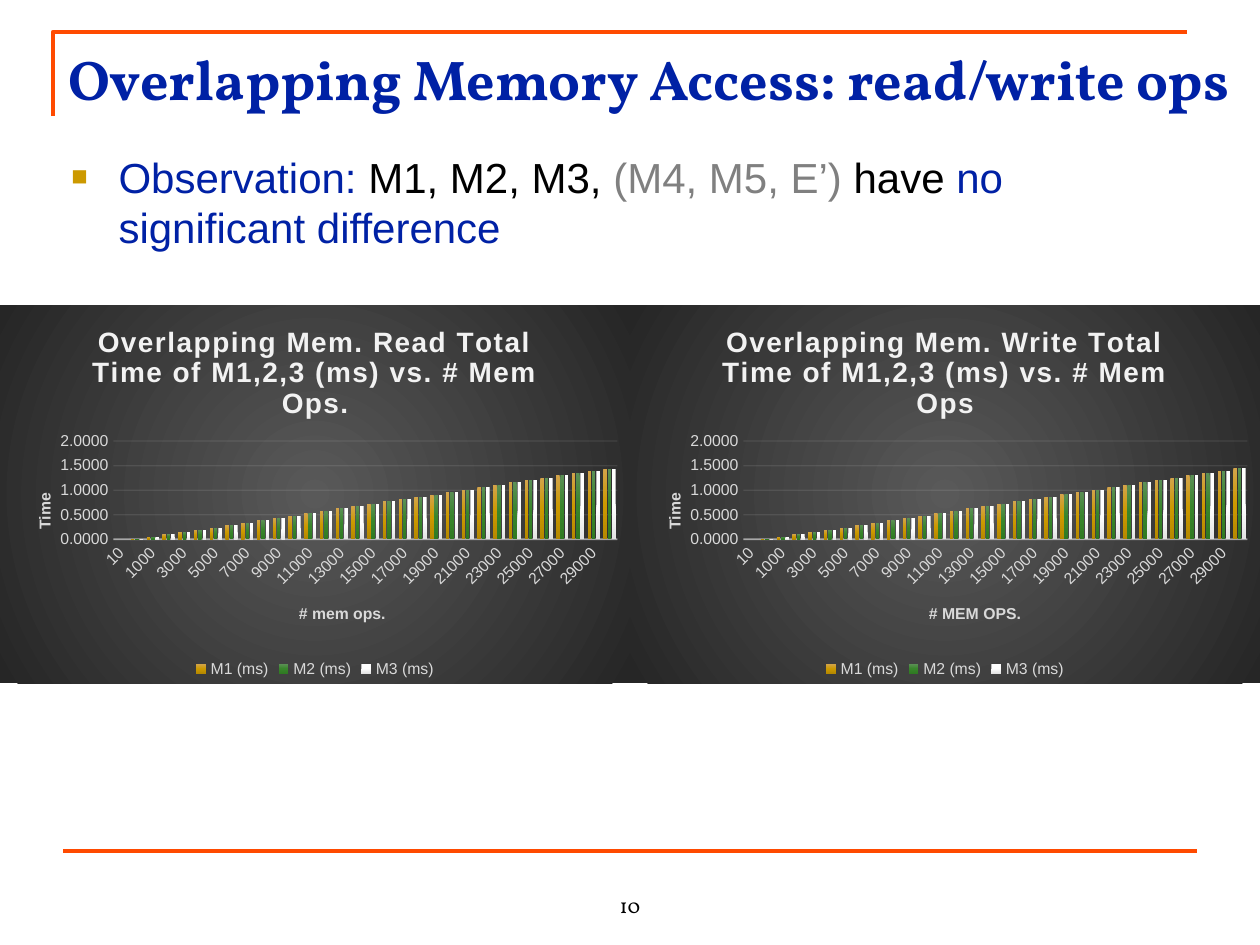
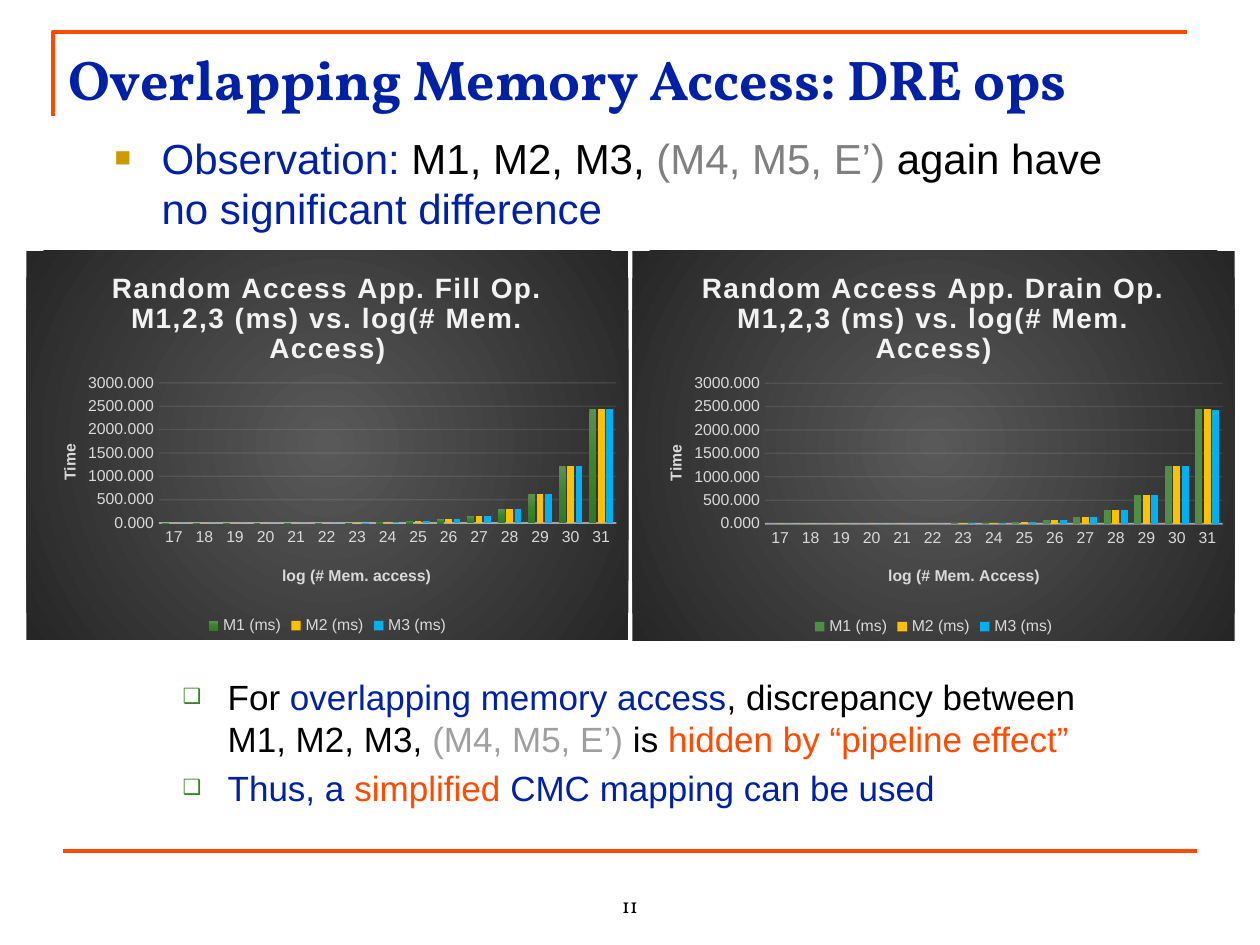
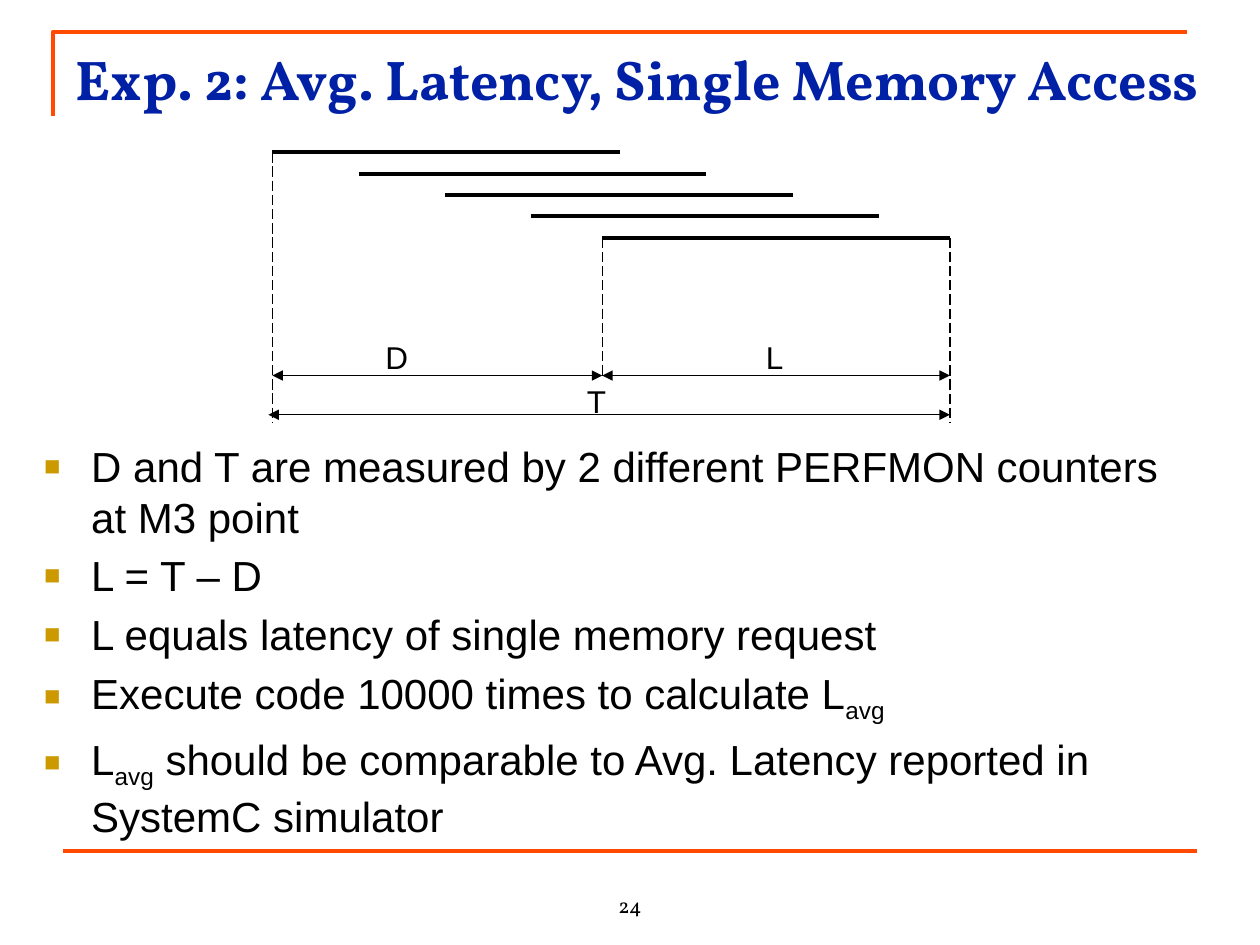
from dataclasses import dataclass
from typing import Optional

from lxml import etree
from pptx import Presentation, util as u
from pptx.chart import data as chart_data
from pptx.dml import color
from pptx.enum import chart as charts, dml, shapes, text
from pptx.oxml import ns


@dataclass(frozen=True)
class Theme:
    heading_font: str = "Vollkorn"
    body_font: str = "Arial"
    blue: str = "0021A5"
    orange: str = "FF4A00"
    black: str = "000000"
    gray: str = "808080"
    light_gray: str = "9F9F9F"
    chart_title: str = "F2F2F2"
    chart_text: str = "D9D9D9"
    chart_back: tuple = ("595959", "262626")
    gold_bars: tuple = ("D3A44B", "CC9900", "B58800")
    green_bars: tuple = ("5B9055", "38852B", "2F7A22")
    white_bars: tuple = ("FFFFFF", "FFFFFF", "E3E3E3")
    flat_green: tuple = ("508D47",)
    yellow: tuple = ("FFC000",)
    sky: tuple = ("00B0F0",)
    title_size: int = 32
    body_size: int = 24
    note_size: int = 20
    label_size: int = 18
    chart_title_size: int = 16
    number_size: int = 12
    chart_size: int = 9
    rule_width: float = 2.25
    thin_width: float = 0.75


THEME = Theme()


@dataclass(frozen=True)
class Box:
    """A place in centimetres."""
    left: float
    top: float
    width: float
    height: float

    def emu(self) -> tuple:
        return tuple(u.Cm(v) for v in (self.left, self.top, self.width, self.height))


@dataclass(frozen=True)
class Span:
    text: str
    color: str = THEME.black
    subscript: bool = False


@dataclass(frozen=True)
class BulletStyle:
    symbol: str
    color: str
    percent: int
    size: int
    level: int
    margin: float
    hanging: float


SQUARE = BulletStyle("■", "CC9900", 65, THEME.body_size, 0, 0.95, 0.95)
HOLLOW = BulletStyle("❑", "3B812F", 60, THEME.note_size, 1, 1.85, 0.91)
LINE_BREAK = Span("\n")


@dataclass(frozen=True)
class ChartLayout:
    """Places inside a chart, as fractions of its size."""
    plot: tuple
    category_title: tuple
    value_title: tuple = (0.05, 0.49)


@dataclass(frozen=True)
class ChartFamily:
    categories: tuple
    layout: ChartLayout
    maximum: float
    step: float
    number_format: str
    label_angle: int = 0


@dataclass(frozen=True)
class TimeChart:
    title: str
    category_title: str
    box: Box
    family: ChartFamily
    values: tuple
    bars: tuple


MEM_OPS = ChartFamily(
    ("10", "100", *(str(n) for n in range(1000, 30001, 1000))),
    ChartLayout((0.18, 0.36, 0.8, 0.26), (0.47, 0.78)), 2, 0.5, "0.0000", -45)
LOG_ACCESS = ChartFamily(
    tuple(str(n) for n in range(17, 32)),
    ChartLayout((0.22, 0.34, 0.76, 0.36), (0.42, 0.8)), 3000, 500, "0.000")


def amended(values: tuple, family: ChartFamily, changes: dict) -> tuple:
    """Values with those of some categories replaced."""
    return tuple(changes.get(c, v) for c, v in zip(family.categories, values))


READ = (0, 0.01, 0.05, 0.1, 0.15, 0.19, 0.24, 0.29, 0.34, 0.39, 0.43,
        0.48, 0.53, 0.58, 0.63, 0.68, 0.72, 0.77, 0.82, 0.87, 0.91, 0.96,
        1.01, 1.06, 1.11, 1.16, 1.2, 1.25, 1.3, 1.35, 1.4, 1.44)
READ_M3 = amended(READ, MEM_OPS, {"3000": 0.14, "14000": 0.67})
WRITE = amended(READ, MEM_OPS, {"19000": 0.92, "25000": 1.21, "30000": 1.45})
WRITE_M3 = amended(WRITE, MEM_OPS, {"14000": 0.67, "25000": 1.2})
RANDOM = (0, 0, 0, 0, 0, 0, 10, 20, 40, 80, 150, 300, 610, 1220, 2440)
RANDOM_M3 = amended(RANDOM, LOG_ACCESS, {"31": 2430})

OPS_BARS = (THEME.gold_bars, THEME.green_bars, THEME.white_bars)
OPS_CHARTS = (
    TimeChart("Overlapping Mem. Read Total Time of M1,2,3 (ms) vs. # Mem Ops.",
              "# mem ops.", Box(0, 6.15, 12.7, 7.62), MEM_OPS,
              (READ, READ, READ_M3), OPS_BARS),
    TimeChart("Overlapping Mem. Write Total Time of M1,2,3 (ms) vs. # Mem Ops",
              "# MEM OPS.", Box(12.7, 6.15, 12.7, 7.62), MEM_OPS,
              (WRITE, WRITE, WRITE_M3), OPS_BARS),
)
RANDOM_CHARTS = (
    TimeChart("Random Access App. Fill Op. M1,2,3 (ms) vs. log(# Mem. Access)",
              "log (# Mem. access)", Box(0.53, 5.05, 12.14, 7.85), LOG_ACCESS,
              (RANDOM, RANDOM, RANDOM_M3), (THEME.green_bars, THEME.yellow, THEME.sky)),
    TimeChart("Random Access App. Drain Op. M1,2,3 (ms) vs. log(# Mem. Access)",
              "log (# Mem. Access)", Box(12.75, 5.05, 12.14, 7.87), LOG_ACCESS,
              (RANDOM, RANDOM, RANDOM_M3), (THEME.flat_green, THEME.yellow, THEME.sky)),
)


def rgb(value: str) -> color.RGBColor:
    return color.RGBColor.from_string(value)


def child(parent, tag: str, **attributes):
    return etree.SubElement(parent, ns.qn(tag), {k: str(v) for k, v in attributes.items()})


def style_font(font, size: float, tint: str, face: str = THEME.body_font,
               bold: bool = False) -> None:
    font.size, font.name, font.bold = u.Pt(size), face, bold
    font.color.rgb = rgb(tint)


def add_gradient(properties, tints: tuple, radial: bool = False) -> None:
    gradient = child(properties, "a:gradFill", rotWithShape=1)
    stops = child(gradient, "a:gsLst")
    for index, tint in enumerate(tints):
        stop = child(stops, "a:gs", pos=100000 * index // (len(tints) - 1))
        child(stop, "a:srgbClr", val=tint)
    if radial:
        center = child(gradient, "a:path", path="circle")
        child(center, "a:fillToRect", l=50000, t=50000, r=50000, b=50000)
    else:
        child(gradient, "a:lin", ang=5400000, scaled=0)


def add_line(slide, start: tuple, end: tuple, tint: str = THEME.black,
             width: float = THEME.thin_width, dashed: bool = False,
             arrows: bool = False) -> None:
    rule = slide.shapes.add_connector(
        shapes.MSO_CONNECTOR.STRAIGHT, *(u.Cm(v) for v in (*start, *end)))
    rule.line.color.rgb = rgb(tint)
    rule.line.width = u.Pt(width)
    if dashed:
        rule.line.dash_style = dml.MSO_LINE.LONG_DASH
    if arrows:
        outline = rule.line._get_or_add_ln()
        child(outline, "a:headEnd", type="triangle")
        child(outline, "a:tailEnd", type="triangle")
    child(rule._element.spPr, "a:effectLst")


def add_label(slide, wording: str, box: Box, size: float, face: str = THEME.body_font,
              align=text.PP_ALIGN.LEFT, anchor=text.MSO_ANCHOR.TOP) -> None:
    frame = slide.shapes.add_textbox(*box.emu()).text_frame
    frame.word_wrap = True
    frame.vertical_anchor = anchor
    frame.text = wording
    frame.paragraphs[0].alignment = align
    style_font(frame.paragraphs[0].runs[0].font, size, THEME.black, face)


def add_bullets(slide, box: Box, style: BulletStyle, points: tuple) -> None:
    frame = slide.shapes.add_textbox(*box.emu()).text_frame
    frame.word_wrap = True
    for index, spans in enumerate(points):
        paragraph = frame.add_paragraph() if index else frame.paragraphs[0]
        paragraph.level = style.level
        paragraph.space_before = u.Pt(style.size * 0.2)
        properties = paragraph._p.get_or_add_pPr()
        properties.set("marL", str(u.Cm(style.margin)))
        properties.set("indent", str(-u.Cm(style.hanging)))
        child(child(properties, "a:buClr"), "a:srgbClr", val=style.color)
        child(properties, "a:buSzPct", val=style.percent * 1000)
        child(properties, "a:buFont", typeface=THEME.body_font)
        child(properties, "a:buChar", char=style.symbol)
        for span in spans:
            if span is LINE_BREAK:
                paragraph.add_line_break()
                continue
            run = paragraph.add_run()
            run.text = span.text
            style_font(run.font, style.size, span.color)
            if span.subscript:
                run._r.get_or_add_rPr().set("baseline", "-25000")


def place(host, x: float, y: float, w: Optional[float] = None,
          h: Optional[float] = None) -> None:
    """Gives a plot area or a chart title a fixed place."""
    layout = host.find(ns.qn("c:layout"))
    if layout is None:
        layout = etree.Element(ns.qn("c:layout"))
        host.insert(0 if host.find(ns.qn("c:tx")) is None else 1, layout)
    manual = child(layout, "c:manualLayout")
    if w is not None:
        child(manual, "c:layoutTarget", val="inner")
    child(manual, "c:xMode", val="edge")
    child(manual, "c:yMode", val="edge")
    for key, value in zip("xywh", (x, y, w, h)):
        if value is not None:
            child(manual, f"c:{key}", val=value)


def style_chart_line(line, width: float, opacity: int) -> None:
    line.color.rgb = rgb(THEME.chart_title)
    line.width = u.Pt(width)
    tint = line._get_or_add_ln().find(".//" + ns.qn("a:srgbClr"))
    child(tint, "a:alpha", val=opacity * 1000)


def style_axis(axis, title: str, position: tuple) -> None:
    axis.major_tick_mark = charts.XL_TICK_MARK.NONE
    axis.minor_tick_mark = charts.XL_TICK_MARK.NONE
    style_font(axis.tick_labels.font, THEME.chart_size, THEME.chart_text)
    frame = axis.axis_title.text_frame
    frame.text = title
    style_font(frame.paragraphs[0].runs[0].font, THEME.chart_size, THEME.chart_text, bold=True)
    place(axis.axis_title._element, *position)


def add_time_chart(slide, spec: TimeChart) -> None:
    family = spec.family
    figures = chart_data.CategoryChartData(number_format=family.number_format)
    figures.categories = family.categories
    for index, values in enumerate(spec.values, start=1):
        figures.add_series(f"M{index} (ms)", values)
    chart = slide.shapes.add_chart(
        charts.XL_CHART_TYPE.COLUMN_CLUSTERED, *spec.box.emu(), figures).chart
    style_font(chart.font, 10, THEME.black)

    backdrop = etree.Element(ns.qn("c:spPr"))
    add_gradient(backdrop, THEME.chart_back, radial=True)
    child(child(backdrop, "a:ln"), "a:noFill")
    chart._chartSpace.find(ns.qn("c:txPr")).addprevious(backdrop)

    chart.has_title = True
    chart.chart_title.include_in_layout = False
    heading = chart.chart_title.text_frame
    heading.text = spec.title
    run = heading.paragraphs[0].runs[0]
    style_font(run.font, THEME.chart_title_size, THEME.chart_title, bold=True)
    run._r.get_or_add_rPr().set("spc", "100")

    chart.has_legend = True
    chart.legend.position = charts.XL_LEGEND_POSITION.BOTTOM
    chart.legend.include_in_layout = False
    style_font(chart.legend.font, THEME.chart_size, THEME.chart_text)

    style_axis(chart.category_axis, spec.category_title, family.layout.category_title)
    style_chart_line(chart.category_axis.format.line, 1, 54)
    if family.label_angle:
        labels = chart.category_axis._element.find(ns.qn("c:txPr"))
        labels.find(ns.qn("a:bodyPr")).set("rot", str(family.label_angle * 60000))

    time_axis = chart.value_axis
    style_axis(time_axis, "Time", family.layout.value_title)
    time_axis.axis_title._element.find(".//" + ns.qn("a:bodyPr")).set("rot", "-5400000")
    time_axis.minimum_scale, time_axis.maximum_scale = 0, family.maximum
    time_axis.major_unit = family.step
    time_axis.tick_labels.number_format = family.number_format
    time_axis.tick_labels.number_format_is_linked = False
    time_axis.format.line.fill.background()
    style_chart_line(time_axis.major_gridlines.format.line, THEME.thin_width, 10)

    plot = chart.plots[0]
    plot.gap_width, plot.overlap, plot.vary_by_categories = 100, -24, False
    for series, tints in zip(plot.series, spec.bars):
        if len(tints) > 1:
            add_gradient(series._element.get_or_add_spPr(), tints)
        else:
            series.format.fill.solid()
            series.format.fill.fore_color.rgb = rgb(tints[0])
    place(chart._chartSpace.find(".//" + ns.qn("c:plotArea")), *family.layout.plot)


def start_slide(deck, title: str, number: int, title_box: Box = Box(1.12, 0.76, 24.69, 2.21)):
    """Adds a slide with its title, orange rules and page number."""
    slide = deck.slides.add_slide(deck.slide_layouts.get_by_name("Title Only"))
    heading = slide.shapes.title
    heading.left, heading.top, heading.width, heading.height = title_box.emu()
    frame = heading.text_frame
    frame.text = title
    frame.word_wrap = True
    frame.auto_size = text.MSO_AUTO_SIZE.NONE
    frame.vertical_anchor = text.MSO_ANCHOR.TOP
    frame.paragraphs[0].alignment = text.PP_ALIGN.LEFT
    style_font(frame.paragraphs[0].runs[0].font, THEME.title_size, THEME.blue,
               THEME.heading_font, bold=True)

    outline = slide.shapes.build_freeform(u.Cm(1.07), u.Cm(2.34))
    outline.add_line_segments(
        [(u.Cm(1.07), u.Cm(0.64)), (u.Cm(23.93), u.Cm(0.64))], close=False)
    corner = outline.convert_to_shape()
    corner.shadow.inherit = False
    corner.fill.background()
    corner.line.color.rgb = rgb(THEME.orange)
    corner.line.width = u.Pt(THEME.rule_width)

    add_line(slide, (1.27, 17.15), (24.13, 17.15), THEME.orange, THEME.rule_width)
    add_label(slide, str(number), Box(10.16, 17.35, 5.08, 1.27), THEME.number_size,
              THEME.heading_font, text.PP_ALIGN.CENTER, text.MSO_ANCHOR.BOTTOM)
    return slide


def add_read_write_slide(deck) -> None:
    slide = start_slide(deck, "Overlapping Memory Access: read/write ops", 10)
    add_bullets(slide, Box(1.19, 2.92, 23.01, 2.31), SQUARE, ((
        Span("Observation: ", THEME.blue), Span("M1, M2, M3, "),
        Span("(M4, M5, E’) ", THEME.gray), Span("have "),
        Span("no significant difference", THEME.blue)),))
    for spec in OPS_CHARTS:
        add_time_chart(slide, spec)


def add_dre_slide(deck) -> None:
    slide = start_slide(deck, "Overlapping Memory Access: DRE ops", 11)
    add_bullets(slide, Box(2.06, 2.54, 22.17, 2.29), SQUARE, ((
        Span("Observation: ", THEME.blue), Span("M1, M2, M3, "),
        Span("(M4, M5, E’)", THEME.gray), Span(" again have "), LINE_BREAK,
        Span("no significant difference", THEME.blue)),))
    for spec in RANDOM_CHARTS:
        add_time_chart(slide, spec)
    add_bullets(slide, Box(2.49, 13.49, 20.6, 2.87), HOLLOW, (
        (Span("For "), Span("overlapping memory access", THEME.blue),
         Span(", discrepancy between M1, M2, M3, "),
         Span("(M4, M5, E’) ", THEME.light_gray), Span("is "),
         Span("hidden by “pipeline effect”", THEME.orange)),
        (Span("Thus, a ", THEME.blue), Span("simplified ", THEME.orange),
         Span("CMC mapping can be used", THEME.blue))))


def add_latency_slide(deck) -> None:
    slide = start_slide(deck, "Exp. 2: Avg. Latency, Single Memory Access", 24,
                        Box(1.27, 0.76, 23.77, 2.62))
    average = Span("avg", subscript=True)
    add_bullets(slide, Box(0.64, 8.76, 23.7, 8.38), SQUARE, (
        (Span("D and T are measured by 2 different PERFMON counters at M3 point"),),
        (Span("L = T – D"),),
        (Span("L equals latency of single memory request"),),
        (Span("Execute code 10000 times to calculate L"), average),
        (Span("L"), average,
         Span(" should be comparable to Avg. Latency reported in SystemC simulator"))))

    first, last, latency = 5.49, 12.14, 7.01
    finish = last + latency
    top, row_gap = 3.07, 0.43
    starts = [first + 1.74 * index for index in range(4)] + [last]
    for row, begin in enumerate(starts):
        y = top + row * row_gap
        add_line(slide, (begin, y), (begin + latency, y), width=THEME.rule_width)

    last_row, split_y, total_y, bottom = top + 4 * row_gap, 7.57, 8.36, 8.51
    for x, upper, lower in ((first, top, bottom), (last, last_row, split_y),
                            (finish, last_row, bottom)):
        add_line(slide, (x, upper), (x, lower), dashed=True)
    for name, begin, end, y, label_x, label_y in (
            ("D", first, last, split_y, 7.52, 6.68),
            ("L", last, finish, split_y, 15.19, 6.68),
            ("T", 5.41, finish, total_y, 11.58, 7.57)):
        add_line(slide, (begin, y), (end, y), arrows=True)
        add_label(slide, name, Box(label_x, label_y, 2.57, 1.02), THEME.label_size)


def main() -> None:
    deck = Presentation()
    deck.slide_width, deck.slide_height = u.Cm(25.4), u.Cm(19.05)
    add_read_write_slide(deck)
    add_dre_slide(deck)
    add_latency_slide(deck)
    deck.save("out.pptx")


if __name__ == "__main__":
    main()
